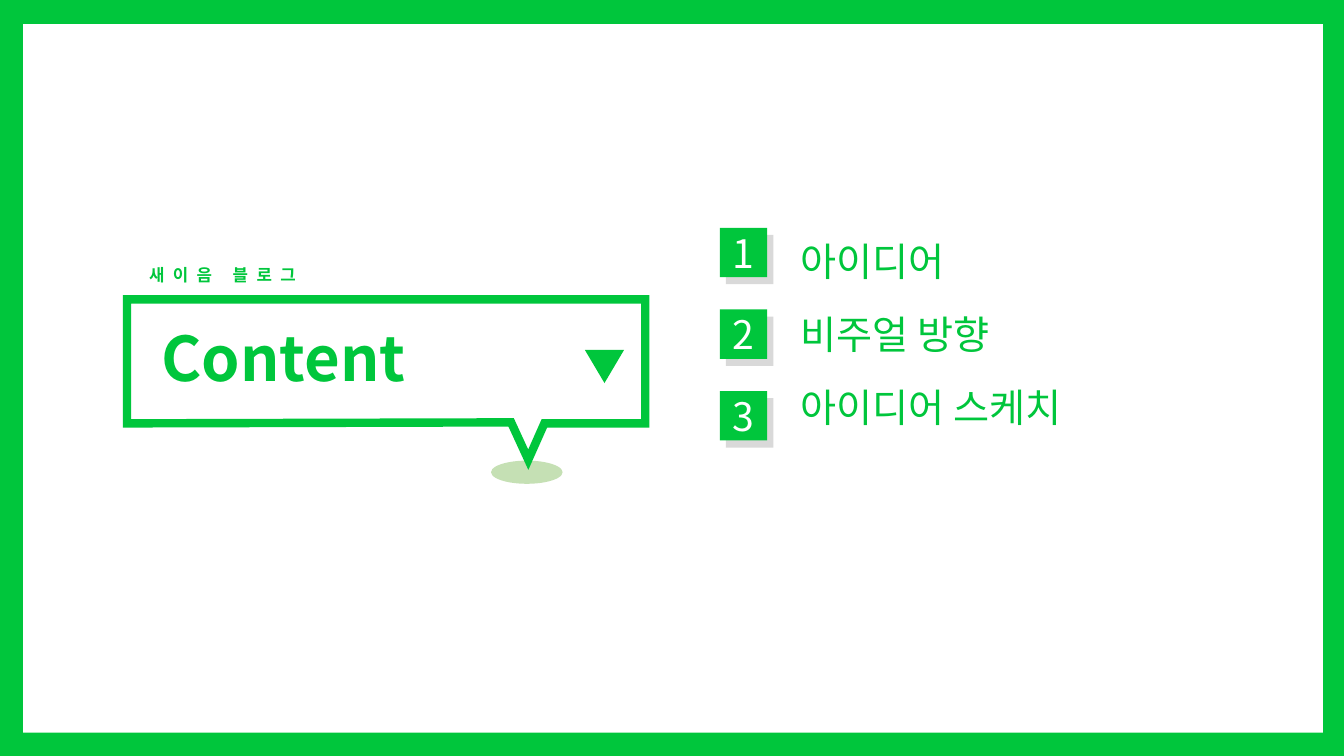
import pptx
import pptx.util
import pptx.dml.color
import pptx.enum.shapes
import pptx.enum.text
import pptx.oxml.ns
import lxml.etree

Inches, Pt = pptx.util.Inches, pptx.util.Pt
RGBColor = pptx.dml.color.RGBColor
SHAPE = pptx.enum.shapes.MSO_SHAPE
ALIGN = pptx.enum.text.PP_ALIGN
qn = pptx.oxml.ns.qn

GREEN = RGBColor(0x00, 0xC6, 0x3C)
PALE_GREEN = RGBColor(0xC5, 0xE0, 0xB4)
GRAY = RGBColor(0xD9, 0xD9, 0xD9)
WHITE = RGBColor(0xFF, 0xFF, 0xFF)


class Deck:
    """Holds the style and the current slide."""
    font = "Noto Sans CJK KR"

    def __init__(self):
        self.prs = pptx.Presentation()
        self.prs.slide_width = Inches(13.33)
        self.prs.slide_height = Inches(7.5)
        self.s = self.prs.slides.add_slide(self.prs.slide_layouts[1])

    def shape(self, kind, x, y, w, h, color):
        sp = self.s.shapes.add_shape(kind, Inches(x), Inches(y), Inches(w), Inches(h))
        sp.shadow.inherit = False
        sp.fill.solid()
        sp.fill.fore_color.rgb = color
        sp.line.fill.background()
        return sp

    def outline(self, points, color, width):
        corners = [(Inches(x), Inches(y)) for x, y in points]
        builder = self.s.shapes.build_freeform(*corners[0])
        builder.add_line_segments(corners[1:], close=True)
        sp = builder.convert_to_shape()
        sp.shadow.inherit = False
        sp.fill.background()
        sp.line.color.rgb = color
        sp.line.width = Pt(width)
        ln = sp._element.spPr.find(qn("a:ln"))
        lxml.etree.SubElement(ln, qn("a:miter"), lim="800000")

    def set_text(self, sp, lines, size, color, bold=False, align=ALIGN.LEFT, gap=0, spacing=0):
        tf = sp.text_frame
        tf.text = "\n".join(lines)
        tf.word_wrap = False
        tf.auto_size = pptx.enum.text.MSO_AUTO_SIZE.NONE
        tf.vertical_anchor = pptx.enum.text.MSO_ANCHOR.MIDDLE
        for i, p in enumerate(tf.paragraphs):
            p.alignment = align
            p.space_before = Pt(gap if i else 0)
            p.font.size, p.font.bold, p.font.name = Pt(size), bold, self.font
            p.font.color.rgb = color
            for r in p.runs:
                # East Asian typeface and letter spacing
                rpr = r._r.get_or_add_rPr()
                rpr.set("spc", str(spacing * 100))
                lxml.etree.SubElement(rpr, qn("a:ea"), typeface=self.font)

    def text(self, x, y, w, h, line, size, color, **style):
        sp = self.s.shapes.add_textbox(Inches(x), Inches(y), Inches(w), Inches(h))
        self.set_text(sp, [line], size, color, **style)

    def placeholder(self, idx, x, y, w, h, lines, size, color, **style):
        sp = self.s.placeholders[idx]
        sp.left, sp.top, sp.width, sp.height = map(Inches, (x, y, w, h))
        self.set_text(sp, lines, size, color, **style)
        for p in sp.text_frame.paragraphs:
            ppr = p._p.get_or_add_pPr()
            ppr.set("marL", "0")
            ppr.set("indent", "0")
            ppr.find(qn("a:spcBef")).addnext(ppr.makeelement(qn("a:buNone"), {}))
        # Bring in front of the frame
        self.s.shapes._spTree.append(sp._element)


def main():
    deck = Deck()

    # Frame
    deck.shape(SHAPE.RECTANGLE, 0, 0, 13.33, 7.5, GREEN)
    deck.shape(SHAPE.RECTANGLE, 0.23, 0.24, 12.89, 7.03, WHITE)

    # Speech bubble
    deck.shape(SHAPE.OVAL, 4.87, 4.57, 0.71, 0.23, PALE_GREEN)
    deck.outline([(1.26, 2.97), (6.4, 2.97), (6.4, 4.2), (5.4, 4.2),
                  (5.24, 4.56), (5.07, 4.19), (1.26, 4.2)], GREEN, 6)
    deck.shape(SHAPE.ISOSCELES_TRIANGLE, 5.8, 3.47, 0.39, 0.33, GREEN).rotation = 180
    deck.text(1.38, 2.58, 1.86, 0.3, "새이음 블로그", 12, GREEN, bold=True, spacing=6)
    deck.placeholder(0, 1.5, 3.12, 2.72, 0.84, ["Content"], 44, GREEN, bold=True)

    # Numbered list
    topics = ["아이디어", "비주얼 방향", "아이디어 스케치"]
    for i in range(len(topics)):
        y = 2.26 + 0.81 * i
        deck.shape(SHAPE.RECTANGLE, 7.2, y + 0.07, 0.47, 0.49, GRAY)
        tile = deck.shape(SHAPE.RECTANGLE, 7.14, y, 0.47, 0.49, GREEN)
        deck.set_text(tile, [str(i + 1)], 28, WHITE, align=ALIGN.CENTER)
    deck.placeholder(1, 7.84, 2.21, 3.09, 2.2, topics, 28, GREEN, gap=18.4)

    deck.prs.save("out.pptx")


if __name__ == "__main__":
    main()
